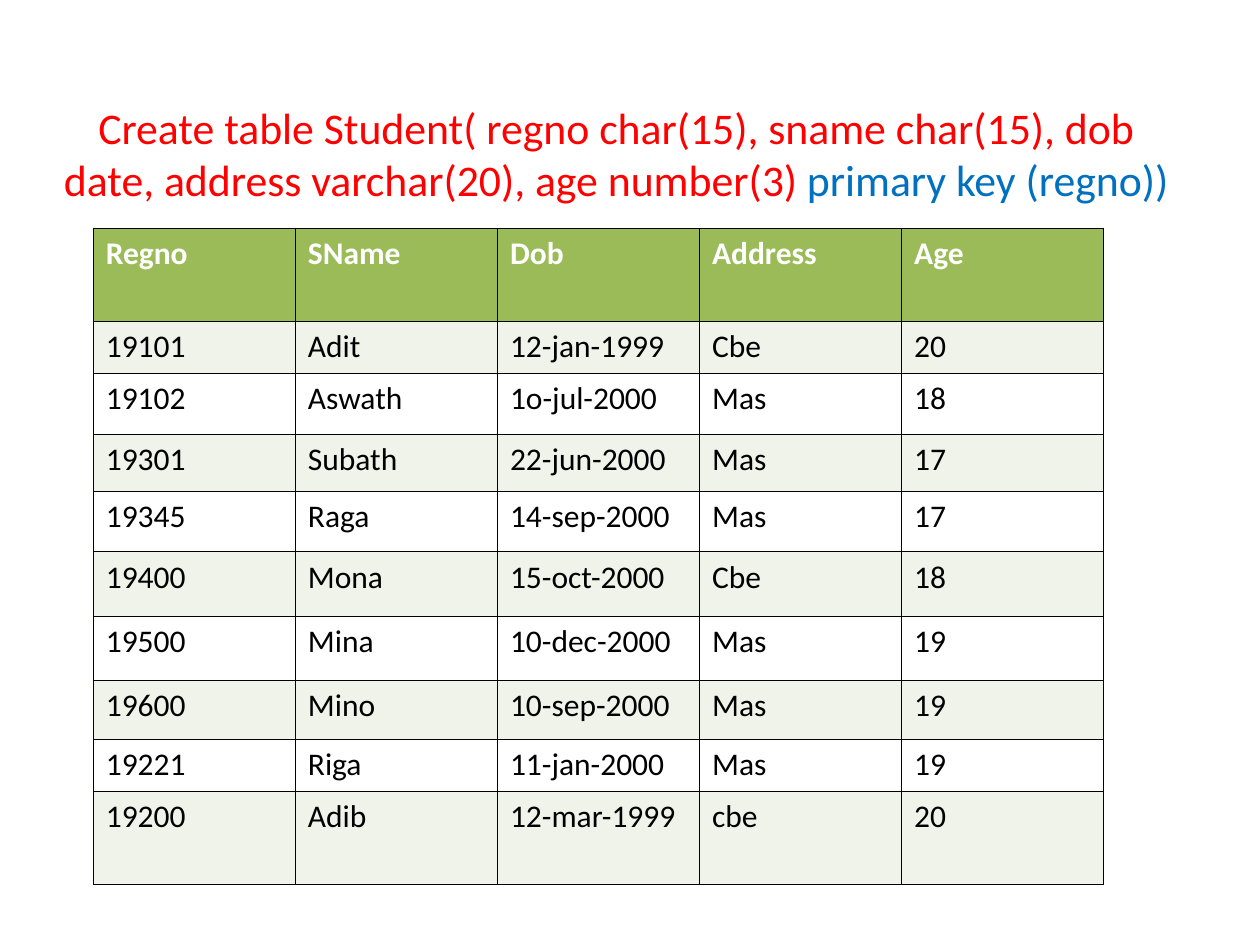
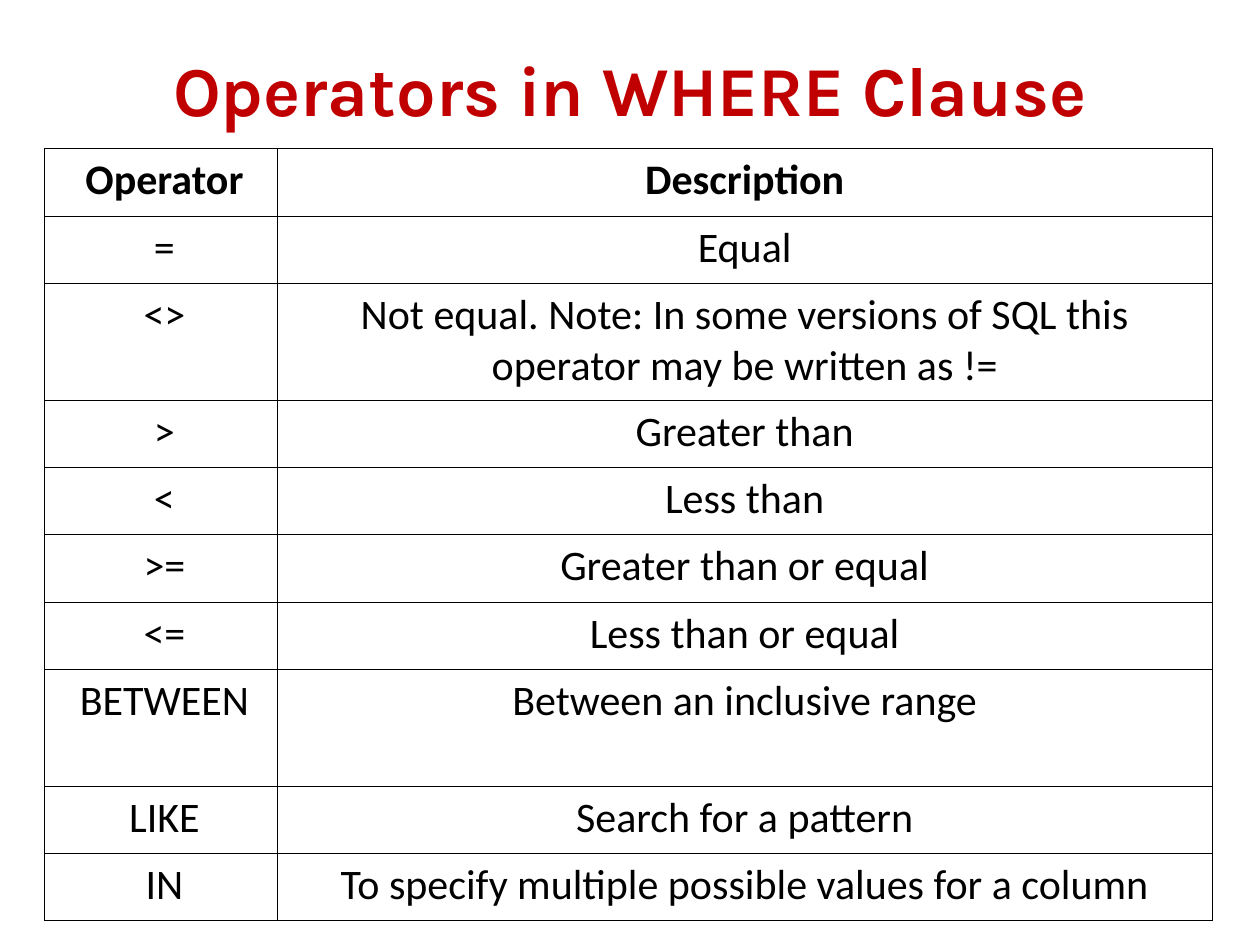
from lxml import etree
from pptx import Presentation, util as u
from pptx.dml.color import RGBColor
from pptx.enum import text as t
from pptx.oxml import ns

COLORS = {
    "ink": "000000", "white": "FFFFFF", "red": "FF0000", "blue": "0070C0",
    "crimson": "C00000", "header_green": "9BBB59", "band_green": "EFF3EA",
}
BORDER_POINTS = 0.45
CENTER, LEFT = t.PP_ALIGN.CENTER, t.PP_ALIGN.LEFT

deck = Presentation()
deck.slide_width, deck.slide_height = u.Inches(10), u.Inches(7.5)
blank = deck.slide_layouts[6]


def write(frame, spans, align, size, font="Calibri", bold=False):
    """Fill one paragraph with (text, colour name) spans."""
    para = frame.paragraphs[0]
    para.alignment = align
    for wording, color in spans:
        span = para.add_run()
        span.text = wording
        for name, value in {"name": font, "size": u.Pt(size), "bold": bold}.items():
            setattr(span.font, name, value)
        span.font.color.rgb = RGBColor.from_string(COLORS[color])


def add_grid(page, left, top, widths, heights, rows, align, size, fills, head_color, insets):
    """Draw a ruled table; fills holds the header, odd-row and even-row colours."""
    frame = page.shapes.add_table(
        len(rows), len(widths), u.Inches(left), u.Inches(top),
        u.Inches(sum(widths)), u.Inches(sum(heights)))
    table = frame.table
    table.first_row = table.horz_banding = False
    for column, width in zip(table.columns, widths):
        column.width = u.Inches(width)
    for r, (row, height) in enumerate(zip(rows, heights)):
        table.rows[r].height = u.Inches(height)
        fill = fills[0] if r == 0 else fills[2 - r % 2]
        for c, wording in enumerate(row):
            cell = table.cell(r, c)
            margins = {"margin_left": insets[c], "margin_right": insets[-1],
                       "margin_top": 0.05, "margin_bottom": 0.05}
            for name, value in margins.items():
                setattr(cell, name, u.Inches(value))
            # Borders come before the fill in the cell properties
            props = cell._tc.get_or_add_tcPr()
            for side in ("lnL", "lnR", "lnT", "lnB"):
                line = etree.SubElement(props, ns.qn(f"a:{side}"), w=str(u.Pt(BORDER_POINTS)))
                solid = etree.SubElement(line, ns.qn("a:solidFill"))
                etree.SubElement(solid, ns.qn("a:srgbClr"), val=COLORS["ink"])
            if fill:
                cell.fill.solid()
                cell.fill.fore_color.rgb = RGBColor.from_string(COLORS[fill])
            else:
                cell.fill.background()
            color = "ink" if r else head_color
            write(cell.text_frame, [(wording, color)], align, size, bold=r == 0)


# Table contents
students = [
    ("Regno", "SName", "Dob", "Address", "Age"),
    ("19101", "Adit", "12-jan-1999", "Cbe", "20"),
    ("19102", "Aswath", "1o-jul-2000", "Mas", "18"),
    ("19301", "Subath", "22-jun-2000", "Mas", "17"),
    ("19345", "Raga", "14-sep-2000", "Mas", "17"),
    ("19400", "Mona", "15-oct-2000", "Cbe", "18"),
    ("19500", "Mina", "10-dec-2000", "Mas", "19"),
    ("19600", "Mino", "10-sep-2000", "Mas", "19"),
    ("19221", "Riga", "11-jan-2000", "Mas", "19"),
    ("19200", "Adib", "12-mar-1999", "cbe", "20"),
]
operators = [
    ("Operator", "Description"),
    ("=", "Equal"),
    ("<>", "Not equal. Note: In some versions of SQL this operator may be written as !="),
    (">", "Greater than"),
    ("<", "Less than"),
    (">=", "Greater than or equal"),
    ("<=", "Less than or equal"),
    ("BETWEEN", "Between an inclusive range"),
    ("LIKE", "Search for a pattern"),
    ("IN", "To specify multiple possible values for a column"),
]

# Row heights: the operator table has two tall rows, the rest share what is left
student_heights = [0.74, 0.41, 0.49, 0.45, 0.48, 0.51, 0.51, 0.47, 0.41, 0.74]
tall_rows, tall = (2, 7), 0.93
plain = (6.13 - tall * len(tall_rows)) / (len(operators) - len(tall_rows))
operator_heights = [tall if r in tall_rows else plain for r in range(len(operators))]

# Each page: title box, title format, title spans, table settings
pages = [
    {
        "box": (0.39, 0.44, 9, 1.1),
        "anchor": t.MSO_ANCHOR.TOP, "inset_top": 0.36,
        "format": {"size": 25},
        "spans": [("Create table Student( regno char(15), sname char(15), dob date, "
                   "address varchar(20), age number(3) ", "red"),
                  ("primary key (regno))", "blue")],
        "grid": {"left": 0.74, "top": 1.81, "widths": [8.02 / 5] * 5,
                 "heights": student_heights, "rows": students, "align": LEFT, "size": 18,
                 "fills": ("header_green", "band_green", "white"),
                 "head_color": "white", "insets": [0.1] * 5},
    },
    {
        "box": (0.5, 0.3, 9, 0.8),
        "anchor": t.MSO_ANCHOR.MIDDLE, "inset_top": 0.05,
        "format": {"size": 40, "font": "Karla", "bold": True},
        "spans": [("Operators in WHERE Clause", "crimson")],
        "grid": {"left": 0.35, "top": 1.18, "widths": [1.85, 7.42],
                 "heights": operator_heights, "rows": operators, "align": CENTER, "size": 24,
                 "fills": (None, None, None),
                 "head_color": "ink", "insets": [0.13, 0.07]},
    },
]

for content in pages:
    page = deck.slides.add_slide(blank)
    # Title
    box = page.shapes.add_textbox(*map(u.Inches, content["box"]))
    settings = {"word_wrap": True, "vertical_anchor": content["anchor"],
                "margin_top": u.Inches(content["inset_top"])}
    for name, value in settings.items():
        setattr(box.text_frame, name, value)
    write(box.text_frame, content["spans"], CENTER, **content["format"])
    # Table
    add_grid(page, **content["grid"])

deck.save("out.pptx")
